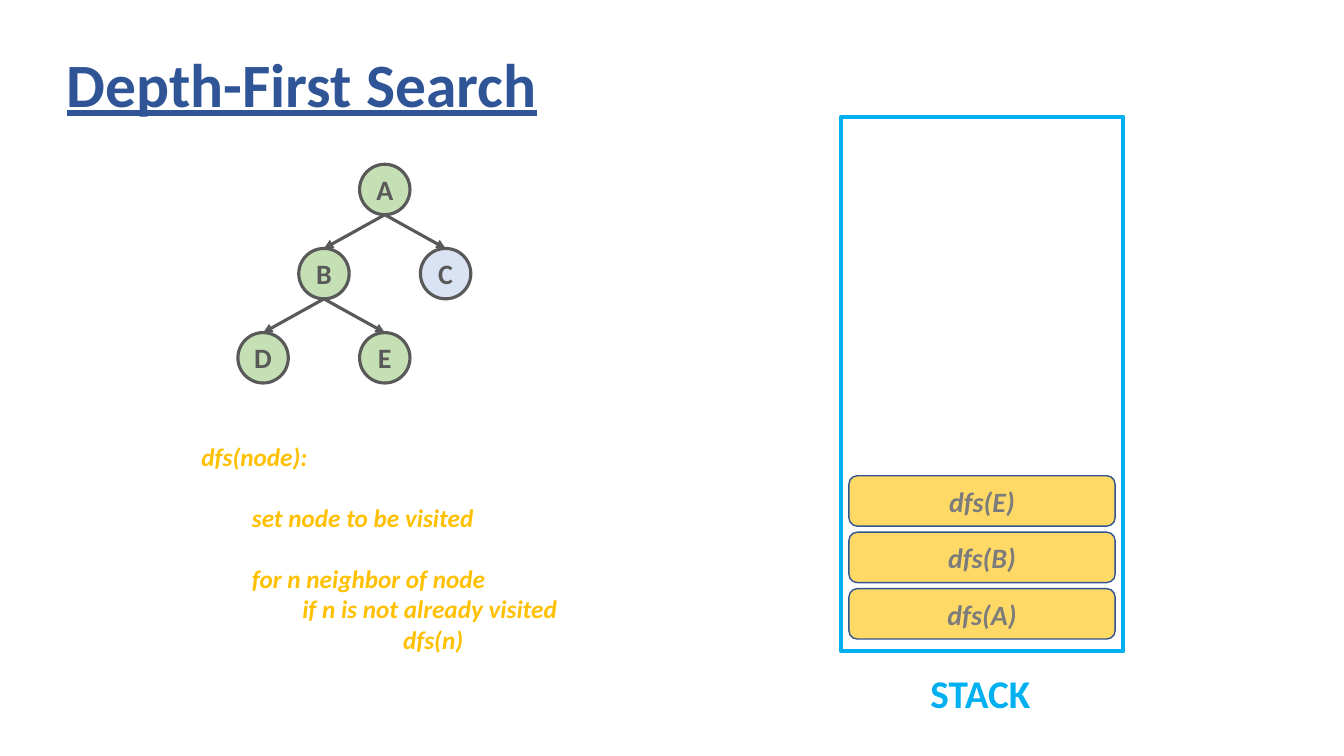
from dataclasses import dataclass
from lxml.etree import SubElement
from pptx import Presentation
from pptx.dml.color import RGBColor
from pptx.enum.shapes import MSO_CONNECTOR, MSO_SHAPE as SHAPE
from pptx.enum.text import MSO_ANCHOR as ANCHOR, PP_ALIGN as ALIGN
from pptx.oxml.ns import qn
from pptx.util import Inches, Pt


@dataclass(frozen=True)
class Theme:
    font: str = "Calibri"
    title: str = "2F5597"
    stack: str = "00B0F0"
    code: str = "FFC000"
    ink: str = "595959"
    visited: str = "C5E0B4"
    unvisited: str = "DAE3F3"
    frame: str = "FFD966"
    frame_line: str = "325491"
    frame_text: str = "7C7C7C"
    title_size: int = 44
    label_size: int = 28
    shape_size: int = 20
    code_size: int = 18


T = Theme()


def write(p, text, size, color, **formats):
    r = p.add_run()
    r.text = text
    formats = {"name": T.font, "size": Pt(size), "bold": True, **formats}
    for name, value in formats.items():
        setattr(r.font, name, value)
    r.font.color.rgb = RGBColor.from_string(color)


def set_line(shape, color, width):
    shape.line.color.rgb = RGBColor.from_string(color)
    shape.line.width = Pt(width)


def add_box(s, kind, box, fill, line, width):
    sp = s.shapes.add_shape(kind, *map(Inches, box))
    sp.shadow.inherit = False
    if fill:
        sp.fill.solid()
        sp.fill.fore_color.rgb = RGBColor.from_string(fill)
    else:
        sp.fill.background()
    set_line(sp, line, width)
    return sp


def write_centred(sp, text, color, **formats):
    tf = sp.text_frame
    for side in ("left", "right", "top", "bottom"):
        setattr(tf, f"margin_{side}", 0)
    tf.vertical_anchor = ANCHOR.MIDDLE
    p = tf.paragraphs[0]
    p.alignment = ALIGN.CENTER
    write(p, text, T.shape_size, color, **formats)


def add_arrow(s, start, end):
    c = s.shapes.add_connector(MSO_CONNECTOR.STRAIGHT, *map(Inches, start + end))
    set_line(c, T.ink, 2.25)
    SubElement(c.line._get_or_add_ln(), qn("a:tailEnd"), type="triangle")
    SubElement(c._element.spPr, qn("a:effectLst"))


def add_title(s, box, text):
    title = s.shapes.title
    for name, value in zip(("left", "top", "width", "height"), box):
        setattr(title, name, Inches(value))
    title.text_frame.vertical_anchor = ANCHOR.MIDDLE
    p = title.text_frame.paragraphs[0]
    p.alignment, p.line_spacing = ALIGN.LEFT, 0.9
    write(p, text, T.title_size, T.title, underline=True)


def add_tree(s, box):
    left, top, width, height = box
    size = 0.5
    col_step, row_step = (width - size) / 3, (height - size) / 2
    # name: column, row, parent, fill
    nodes = {
        "A": (2, 0, None, T.visited),
        "B": (1, 1, "A", T.visited),
        "C": (3, 1, "A", T.unvisited),
        "D": (0, 2, "B", T.visited),
        "E": (2, 2, "B", T.visited),
    }
    corners = {name: (left + col * col_step, top + row * row_step)
               for name, (col, row, _, _) in nodes.items()}
    for name, (_, _, parent, fill) in nodes.items():
        x, y = corners[name]
        node = add_box(s, SHAPE.OVAL, (x, y, size, size), fill, T.ink, 2.25)
        write_centred(node, name, T.ink)
        if parent:
            px, py = corners[parent]
            add_arrow(s, (px + size / 2, py + size), (x + size / 2, y))


def add_code(s, box):
    # text, indent in inches, space before in points
    lines = [
        ("dfs(node):", 0, 0),
        ("set node to be visited", 0.5, 22),
        ("for n neighbor of node", 0.5, 22),
        ("if n is not already visited", 1, 0),
        ("dfs(n)", 2, 0),
    ]
    tf = s.shapes.add_textbox(*map(Inches, box)).text_frame
    tf.word_wrap = True
    for i, (text, indent, gap) in enumerate(lines):
        p = tf.add_paragraph() if i else tf.paragraphs[0]
        p._p.get_or_add_pPr().set("marL", str(Inches(indent)))
        if gap:
            p.space_before = Pt(gap)
        write(p, text, T.code_size, T.code, italic=True)


def add_stack(s, box, calls):
    left, top, width, height = box
    add_box(s, SHAPE.RECTANGLE, box, None, T.stack, 3)
    # Caption under the stack
    label = (left + 0.79, top + height + 0.13, 1.22, 0.57)
    tf = s.shapes.add_textbox(*map(Inches, label)).text_frame
    tf.word_wrap = True
    write(tf.paragraphs[0], "STACK", T.label_size, T.stack)
    # Call frames, piled up from the bottom
    inset, size, step = 0.08, 0.5, 0.56
    lowest = top + height - 0.12 - size
    for i, call in enumerate(calls):
        frame = add_box(s, SHAPE.ROUNDED_RECTANGLE,
                        (left + inset, lowest - i * step, width - 2 * inset, size),
                        T.frame, T.frame_line, 1)
        write_centred(frame, call, T.frame_text, italic=True)


def main():
    prs = Presentation()
    prs.slide_width, prs.slide_height = Inches(13.33), Inches(7.5)
    s = prs.slides.add_slide(prs.slide_layouts[5])
    add_title(s, (0.56, 0.14, 11.5, 1.45), "Depth-First Search")
    add_tree(s, (2.36, 1.63, 2.31, 2.17))
    add_code(s, (1.9, 4.33, 3.84, 2.22))
    add_stack(s, (8.34, 1.16, 2.8, 5.3), ["dfs(A)", "dfs(B)", "dfs(E)"])
    prs.save("out.pptx")


if __name__ == "__main__":
    main()
